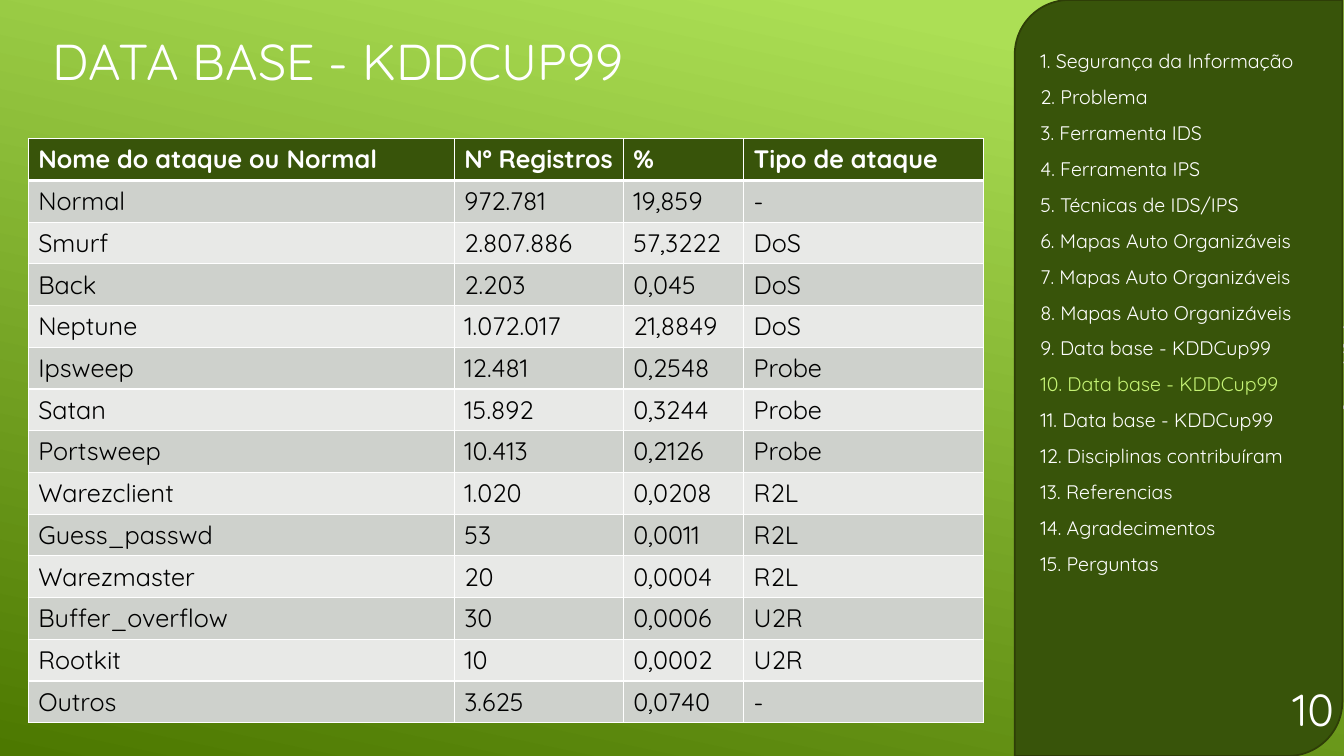
from lxml.etree import SubElement
from pptx import Presentation
from pptx.dml.color import RGBColor
from pptx.enum.shapes import MSO_CONNECTOR as Connector, MSO_SHAPE as Shape
from pptx.enum.text import MSO_ANCHOR as Anchor, PP_ALIGN as Align
from pptx.oxml.ns import qn
from pptx.util import Inches, Pt

WIDTH, HEIGHT = Inches(13.33), Inches(7.5)
FONT = "Quicksand"
WHITE = RGBColor(0xFF, 0xFF, 0xFF)
BLACK = RGBColor(0x00, 0x00, 0x00)
LIME = RGBColor(0xAC, 0xDF, 0x55)
OLIVE = RGBColor(0x4C, 0x78, 0x00)
FOREST = RGBColor(0x38, 0x54, 0x0A)
EDGE = RGBColor(0x2E, 0x3E, 0x07)
CURRENT = RGBColor(0xC5, 0xF3, 0x75)
BANDS = RGBColor(0xE8, 0xE9, 0xE7), RGBColor(0xCE, 0xD1, 0xCC)

RAYS = [(43.2, 7.5, 0.75), (46.53, 24.46, 0.75), (47.87, 15.53, 0.75),
        (45.6, 14.33, 2.25), (53.73, 10.43, 2.25)]

TOPICS = [
    "Segurança da Informação", "Problema", "Ferramenta IDS", "Ferramenta IPS",
    "Técnicas de IDS/IPS", "Mapas Auto Organizáveis", "Mapas Auto Organizáveis",
    "Mapas Auto Organizáveis", "Data base - KDDCup99", "Data base - KDDCup99",
    "Data base - KDDCup99", "Disciplinas contribuíram", "Referencias",
    "Agradecimentos", "Perguntas",
]
PAGE = 10

COLUMN_SHARES = [31.7, 12.57, 8.96, 17.86]
ATTACKS = [
    ("Nome do ataque ou Normal", "Nº Registros", "%", "Tipo de ataque"),
    ("Normal", "972.781", "19,859", "-"),
    ("Smurf", "2.807.886", "57,3222", "DoS"),
    ("Back", "2.203", "0,045", "DoS"),
    ("Neptune", "1.072.017", "21,8849", "DoS"),
    ("Ipsweep", "12.481", "0,2548", "Probe"),
    ("Satan", "15.892", "0,3244", "Probe"),
    ("Portsweep", "10.413", "0,2126", "Probe"),
    ("Warezclient", "1.020", "0,0208", "R2L"),
    ("Guess_passwd", "53", "0,0011", "R2L"),
    ("Warezmaster", "20", "0,0004", "R2L"),
    ("Buffer_overflow", "30", "0,0006", "U2R"),
    ("Rootkit", "10", "0,0002", "U2R"),
    ("Outros", "3.625", "0,0740", "-"),
]


def across(percent):
    return round(WIDTH * percent / 100)


def down(percent):
    return round(HEIGHT * percent / 100)


def area(left, top, width, height):
    return across(left), down(top), across(width), down(height)


def write(p, text, size=18, color=WHITE, bold=False, align=Align.LEFT):
    p.alignment = align
    r = p.add_run()
    r.text = text
    r.font.name = FONT
    r.font.size = Pt(size)
    r.font.bold = bold
    r.font.color.rgb = color


def add_text_box(s, place, anchor=Anchor.TOP):
    tf = s.shapes.add_textbox(*place).text_frame
    tf.word_wrap = True
    tf.vertical_anchor = anchor
    return tf


def paint_background(s):
    fill = s.background.fill
    fill.gradient()
    fill.gradient_angle = 258
    for stop, position, color in zip(fill.gradient_stops, (0.1, 1), (LIME, OLIVE)):
        stop.position = position
        stop.color.rgb = color


def add_ray(s, top, reach, weight):
    run = across(reach)
    ray = s.shapes.add_connector(
        Connector.STRAIGHT, WIDTH, down(top), WIDTH - run, down(top) + run)
    ray.line.color.rgb = WHITE
    ray.line.width = Pt(weight)
    SubElement(ray._element.spPr, qn("a:effectLst"))


def add_panel(s, place):
    sp = s.shapes.add_shape(Shape.ROUND_2_DIAG_RECTANGLE, *place)
    sp.shadow.inherit = False
    sp.fill.solid()
    sp.fill.fore_color.rgb = FOREST
    sp.line.color.rgb = EDGE
    sp.line.width = Pt(1.25)


def add_topics(s, place):
    tf = add_text_box(s, place)
    for number, topic in enumerate(TOPICS, 1):
        p = tf.paragraphs[0] if number == 1 else tf.add_paragraph()
        p.space_before, p.space_after = Pt(2.8), Pt(6)
        color = CURRENT if number == PAGE else WHITE
        write(p, f"{number}. {topic}", size=14, color=color)


def set_borders(cell, top, bottom):
    props = cell._tc.get_or_add_tcPr()
    widths = {"a:lnL": 1, "a:lnR": 1, "a:lnT": top, "a:lnB": bottom}
    for index, (side, width) in enumerate(widths.items()):
        line = SubElement(props, qn(side), w=str(Pt(width)))
        fill = SubElement(line, qn("a:solidFill"))
        SubElement(fill, qn("a:srgbClr"), val=str(WHITE))
        props.insert(index, line)


def add_attack_table(s, place):
    table = s.shapes.add_table(len(ATTACKS), len(COLUMN_SHARES), *place).table
    for column, share in zip(table.columns, COLUMN_SHARES):
        column.width = across(share)
    for i, values in enumerate(ATTACKS):
        header = i == 0
        for j, value in enumerate(values):
            cell = table.cell(i, j)
            cell.fill.solid()
            cell.fill.fore_color.rgb = FOREST if header else BANDS[i % 2]
            set_borders(cell, top=3 if i == 1 else 1, bottom=3 if header else 1)
            write(cell.text_frame.paragraphs[0], value,
                  color=WHITE if header else BLACK, bold=header)


def main():
    prs = Presentation()
    prs.slide_width, prs.slide_height = WIDTH, HEIGHT
    s = prs.slides.add_slide(prs.slide_layouts[6])
    paint_background(s)
    for ray in RAYS:
        add_ray(s, *ray)
    add_panel(s, area(75.5, 0, 24.38, 100))
    number = add_text_box(s, area(90.62, 88.27, 9.38, 9.73), Anchor.BOTTOM)
    write(number.paragraphs[0], str(PAGE), size=32, align=Align.RIGHT)
    add_topics(s, area(76.67, 5.87, 44.11, 92.13))
    add_attack_table(s, area(2.1, 18.35, 71.09, 77.3))
    title = add_text_box(s, area(3.15, 1.33, 69.02, 11.33), Anchor.BOTTOM)
    write(title.paragraphs[0], "DATA BASE - KDDCUP99", size=36)
    prs.save("out.pptx")


if __name__ == "__main__":
    main()
